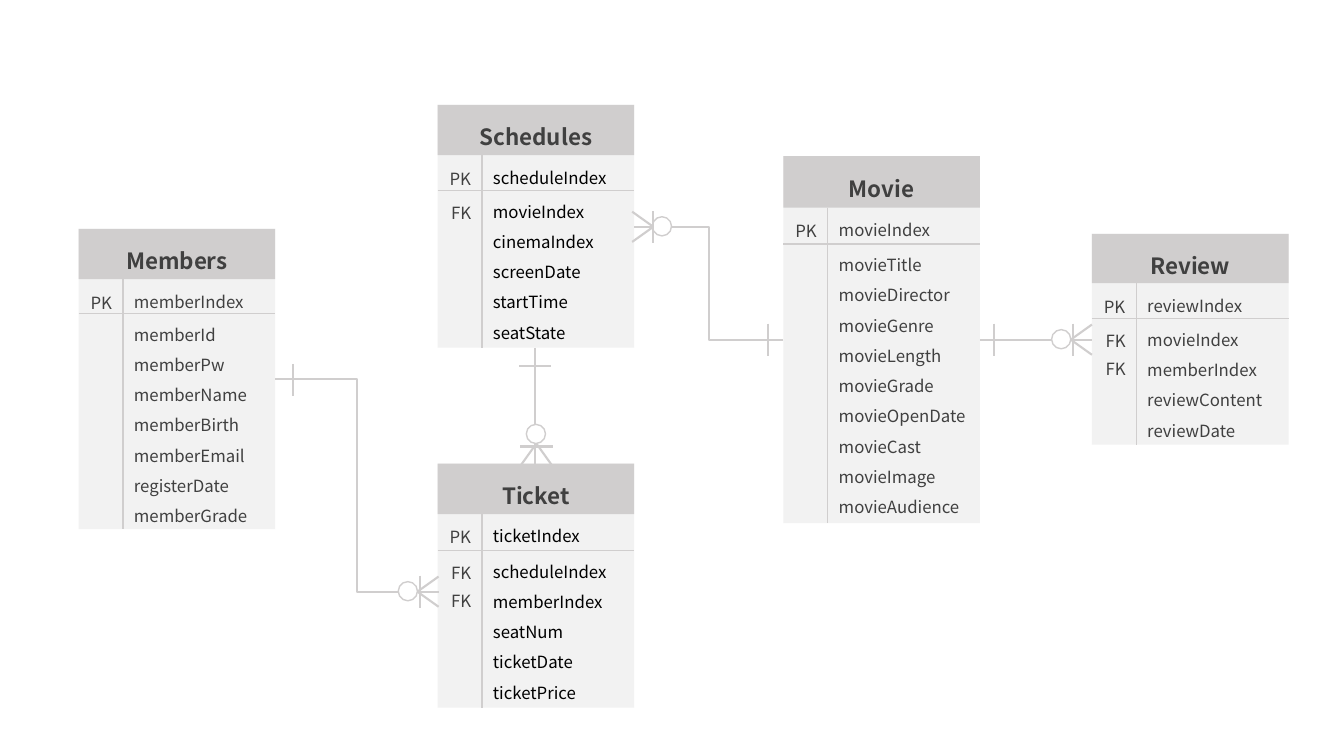
from lxml import etree
from pptx import Presentation
from pptx.dml.color import RGBColor
from pptx.enum.shapes import MSO_CONNECTOR, MSO_SHAPE
from pptx.enum.text import MSO_ANCHOR, PP_ALIGN
from pptx.oxml.ns import qn
from pptx.util import Emu, Pt

PX = 9144
RECT, OVAL = MSO_SHAPE.RECTANGLE, MSO_SHAPE.OVAL
STRAIGHT, ELBOW = MSO_CONNECTOR.STRAIGHT, MSO_CONNECTOR.ELBOW
LEFT, CENTER = PP_ALIGN.LEFT, PP_ALIGN.CENTER
MIDDLE = MSO_ANCHOR.MIDDLE

ENTITY_W, KEY_W = 195, 45

ENTITIES = [
    dict(name="Members", x=78, y=227, h=298, head=50, rule=84, color="404040",
         key="memberIndex", fk=0,
         fields=["memberId", "memberPw", "memberName", "memberBirth",
                 "memberEmail", "registerDate", "memberGrade"]),
    dict(name="Movie", x=777, y=155, h=364, head=51, rule=87, color="404040",
         key="movieIndex", fk=0,
         fields=["movieTitle", "movieDirector", "movieGenre", "movieLength",
                 "movieGrade", "movieOpenDate", "movieCast", "movieImage",
                 "movieAudience"]),
    dict(name="Review", x=1083, y=232, h=209, head=49, rule=84, color="404040",
         key="reviewIndex", fk=2,
         fields=["movieIndex", "memberIndex", "reviewContent", "reviewDate"]),
    dict(name="Schedules", x=434, y=104, h=241, head=50, rule=85, color="000000",
         key="scheduleIndex", fk=1,
         fields=["movieIndex", "cinemaIndex", "screenDate", "startTime",
                 "seatState"]),
    dict(name="Ticket", x=434, y=460, h=242, head=50, rule=86, color="000000",
         key="ticketIndex", fk=2,
         fields=["scheduleIndex", "memberIndex", "seatNum", "ticketDate",
                 "ticketPrice"]),
]

LINKS = [
    (STRAIGHT, 972, 337, 1083, 337),
    (ELBOW, 777, 337, 629, 225),
    (STRAIGHT, 531, 345, 531, 460),
    (ELBOW, 273, 376, 435, 587),
]

ONE_ENDS = [(986, 337, 1, 0), (762, 337, 1, 0), (531, 363, 0, 1), (291, 377, 1, 0)]

MANY_ENDS = [
    (1062, 337, 1, 0, 2),
    (648, 225, -1, 0, 0),
    (532, 440, 0, 1, 3),
    (414, 587, 1, 0, 3),
]


def rgb(value):
    """Turn a hex string into a colour."""
    return RGBColor.from_string(value)


class Diagram:
    """Draws entity-relationship elements on the current slide."""

    font = "Noto Sans CJK KR"
    line_color = "D0CECE"
    body_color = "F2F2F2"
    ink = "404040"

    def __init__(self, slide):
        """Keep the slide to draw on."""
        self.s = slide

    def put_lines(self, tf, lines, size, color, align=LEFT, bold=False):
        """Fill a text frame with one paragraph per line."""
        tf.word_wrap = True
        for i, text in enumerate(lines):
            p = tf.add_paragraph() if i else tf.paragraphs[0]
            p.alignment = align
            p.line_spacing = Pt(size * 1.8)
            r = p.add_run()
            r.text = text
            r.font.name = self.font
            r.font.size = Pt(size)
            r.font.bold = bold
            r.font.color.rgb = rgb(color)

    def shape(self, kind, x, y, w, h, fill, outline=None):
        """Add a preset shape."""
        sp = self.s.shapes.add_shape(kind, *(Emu(v * PX) for v in (x, y, w, h)))
        sp.shadow.inherit = False
        sp.fill.solid()
        sp.fill.fore_color.rgb = rgb(fill)
        if outline:
            sp.line.color.rgb = rgb(outline)
            sp.line.width = Pt(1)
        else:
            sp.line.fill.background()
        return sp

    def text(self, x, y, w, h, lines, color, align=LEFT):
        """Add a text box."""
        sp = self.s.shapes.add_textbox(*(Emu(v * PX) for v in (x, y, w, h)))
        self.put_lines(sp.text_frame, lines, 12, color, align)

    def line(self, x1, y1, x2, y2, width=1.5, kind=STRAIGHT):
        """Add a connector without shadow."""
        cx = self.s.shapes.add_connector(
            kind, *(Emu(v * PX) for v in (x1, y1, x2, y2)))
        cx.line.color.rgb = rgb(self.line_color)
        cx.line.width = Pt(width)
        etree.SubElement(cx._element.spPr, qn("a:effectLst"))

    def tag(self, x, y, label):
        """Add a PK or FK label."""
        self.text(x, y, KEY_W, 31, [label], self.ink, CENTER)

    def entity(self, name, x, y, h, head, rule, color, key, fk, fields):
        """Add an entity with its header, key row and fields."""
        key_y, rule_y, split = y + head - 3, y + rule, x + KEY_W
        self.shape(RECT, x, y, ENTITY_W, h, self.body_color)
        sp = self.shape(RECT, x, y, ENTITY_W, head, self.line_color)
        sp.text_frame.vertical_anchor = MIDDLE
        self.put_lines(sp.text_frame, [name], 16, self.ink, CENTER, True)
        self.text(split, key_y, 151, 31, [key], color)
        self.tag(x, key_y + 1, "PK")
        self.line(x, rule_y, x + ENTITY_W, rule_y, 1)
        self.line(split - 1, y + head, split - 1, y + h, 1)
        self.text(split, rule_y - 4, 151, 10 + 30 * len(fields), fields, color)
        for i in range(fk):
            self.tag(x + 1, rule_y - 3 + 28 * i, "FK")

    def bar(self, x, y, dx, dy):
        """Add a short bar across a link running along (dx, dy)."""
        self.line(x - 16 * dy, y - 16 * dx, x + 16 * dy, y + 16 * dx)

    def many(self, x, y, dx, dy, gap):
        """Add a crow's foot opening along (dx, dy) with circle and bar."""
        for side in (-15, 15):
            self.line(x, y, x + 21 * dx + side * dy, y + 21 * dy + side * dx)
        self.shape(OVAL, x - 9 * dx - 10, y - 9 * dy - 10, 19, 19,
                   "FFFFFF", self.line_color)
        self.bar(x + gap * dx, y + gap * dy, dx, dy)


def main():
    """Build and save the slide."""
    prs = Presentation()
    prs.slide_width, prs.slide_height = Emu(1333 * PX), Emu(750 * PX)
    d = Diagram(prs.slides.add_slide(prs.slide_layouts[6]))
    for entity in ENTITIES:
        d.entity(**entity)
    for kind, *ends in LINKS:
        d.line(*ends, kind=kind)
    for end in ONE_ENDS:
        d.bar(*end)
    for end in MANY_ENDS:
        d.many(*end)
    prs.save("out.pptx")


if __name__ == "__main__":
    main()
